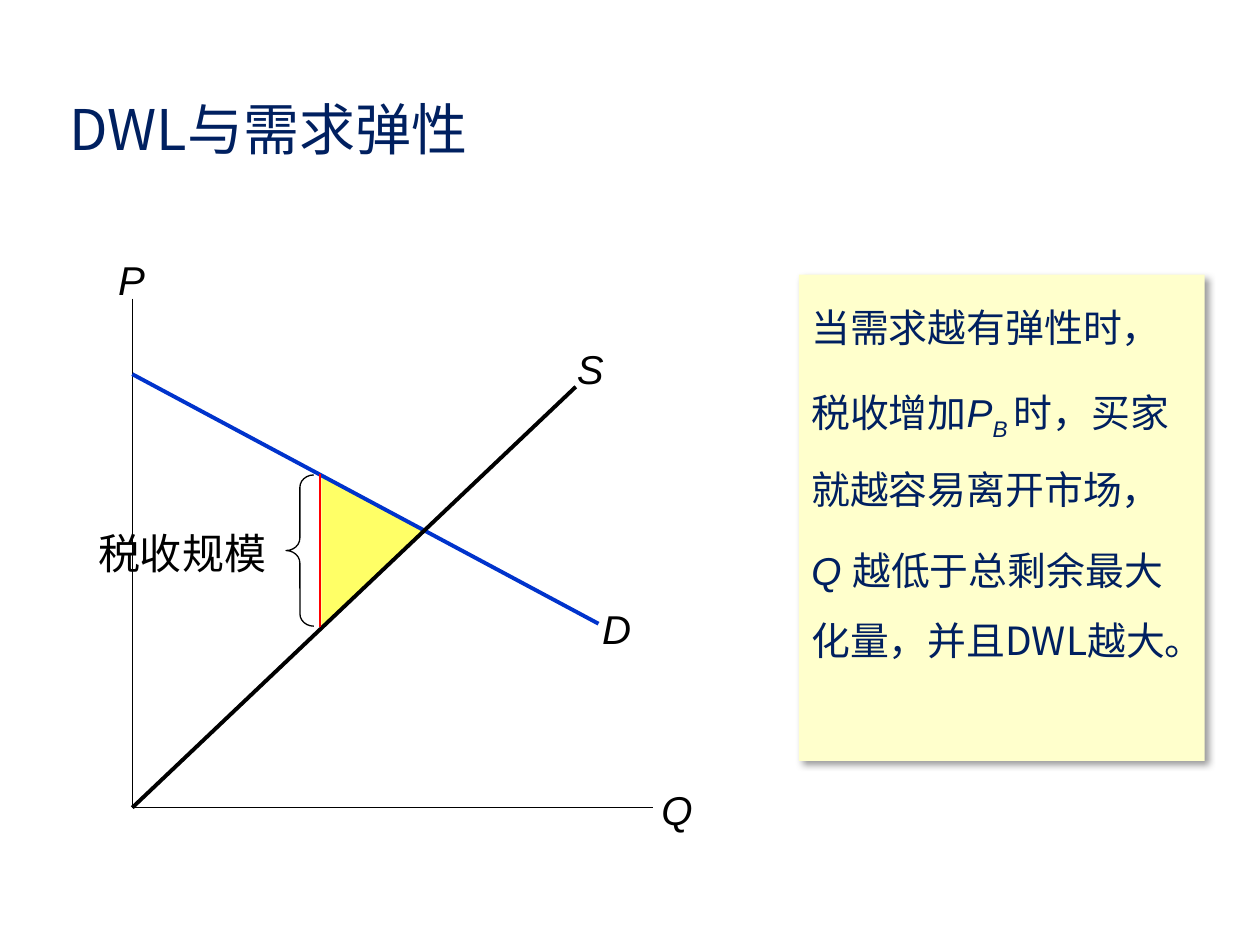
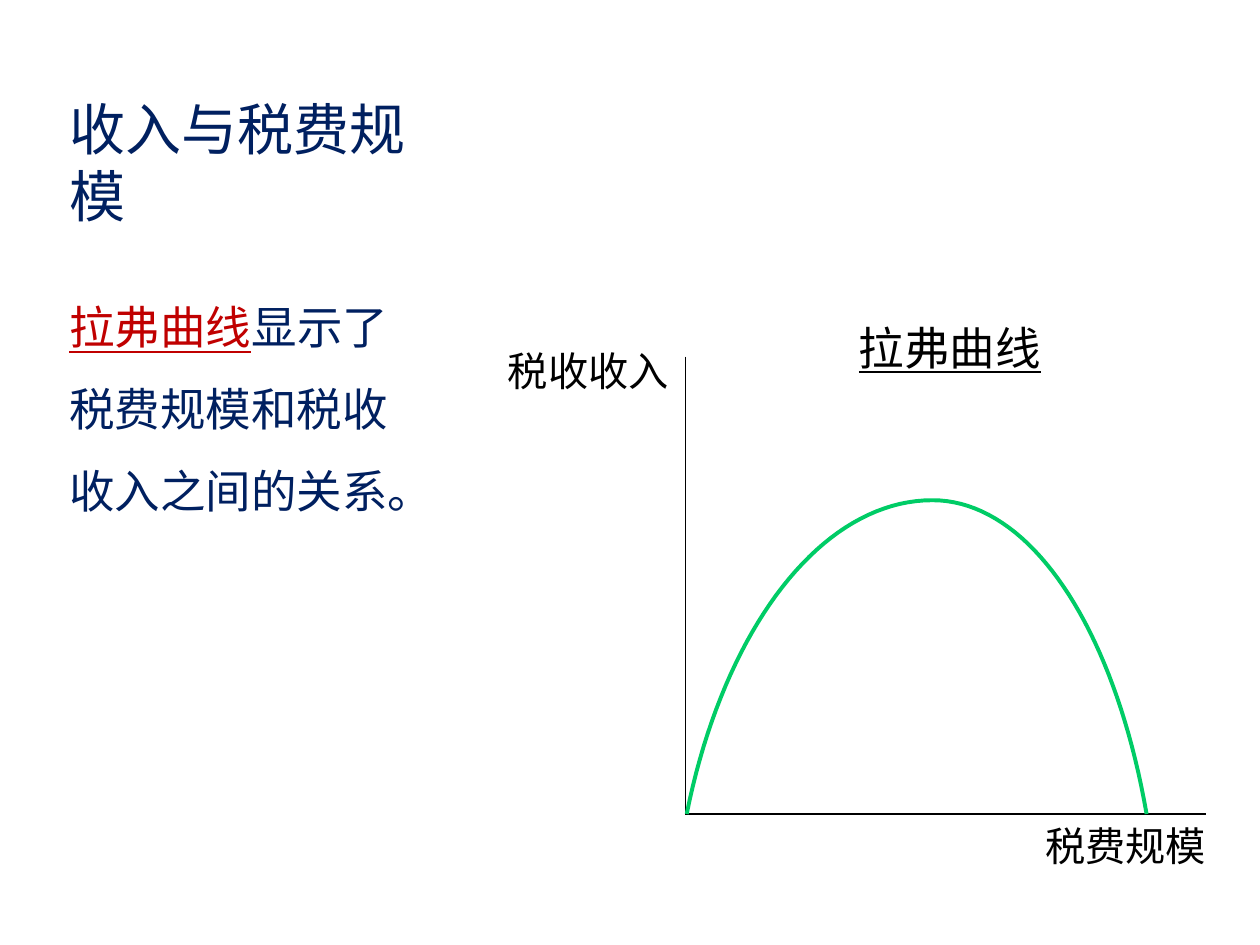
from lxml import etree
from pptx import Presentation
from pptx.dml.color import RGBColor
from pptx.enum import shapes, text
from pptx.oxml import ns
from pptx.util import Inches, Pt

COLORS = {
    "navy": "002060", "black": "000000", "red": "FF0000", "term": "C00000",
    "blue": "0033CC", "green": "00CC66", "panel": "FFFFCC", "loss": "FFFF66",
}
HAN, LATIN = "Noto Sans CJK SC", "Arial"
ALIGN = text.PP_ALIGN
TITLE = {"size": Pt(32), "name": HAN, "color": "navy"}
LABEL = {"size": Pt(23), "name": LATIN, "color": "black"}
SYMBOL = {**LABEL, "italic": True}


def rgb(name):
    """Return the named colour."""
    return RGBColor.from_string(COLORS[name])


def add_xml(parent, tag, **attributes):
    """Append a DrawingML element with the given attributes."""
    return etree.SubElement(parent, ns.qn(tag), attributes)


def add_span(para, words, style):
    """Add a run and format it from a dict of values."""
    span = para.add_run()
    span.text = words
    for key, value in style.items():
        if key == "color":
            span.font.color.rgb = rgb(value)
        elif key == "baseline":
            span.font._element.set("baseline", value)
        else:
            setattr(span.font, key, value)
    add_xml(span.font._element, "a:ea", typeface=HAN)


def write(frame, paragraphs, align=ALIGN.LEFT, **spacing):
    """Fill a text frame with paragraphs of (words, style) spans."""
    settings = {"word_wrap": True, "auto_size": text.MSO_AUTO_SIZE.NONE,
                "vertical_anchor": text.MSO_ANCHOR.TOP}
    for key, value in settings.items():
        setattr(frame, key, value)
    for index, spans in enumerate(paragraphs):
        para = frame.add_paragraph() if index else frame.paragraphs[0]
        para.alignment = align
        for key, value in spacing.items():
            setattr(para, key, value)
        for words, style in spans:
            add_span(para, words, style)


def place(item, left, top, width, height):
    """Move and size a placeholder in inches."""
    for key, value in zip(("left", "top", "width", "height"), (left, top, width, height)):
        setattr(item, key, Inches(value))


def add_page(deck, layout, title, width):
    """Add a slide with the shared title style."""
    page = deck.slides.add_slide(deck.slide_layouts[layout])
    place(page.shapes.title, 0.45, 0.7, width, 0.64)
    write(page.shapes.title.text_frame, [[(title, TITLE)]])
    return page


def add_label(page, words, left, top, width, height=0.48, style=SYMBOL, align=ALIGN.CENTER):
    """Add a one-line label."""
    box = page.shapes.add_textbox(*map(Inches, (left, top, width, height)))
    write(box.text_frame, [[(words, style)]], align)


def add_line(page, start, end, color="black", weight=0.75):
    """Draw a straight line between two points."""
    line = page.shapes.add_connector(
        shapes.MSO_CONNECTOR.STRAIGHT, *map(Inches, (*start, *end)))
    line.line.color.rgb = rgb(color)
    line.line.width = Pt(weight)
    add_xml(line._element.spPr, "a:effectLst")


def add_area(page, kind, left, top, width, height, fill):
    """Add a filled preset shape without an outline or shadow."""
    area = page.shapes.add_shape(kind, *map(Inches, (left, top, width, height)))
    area.shadow.inherit = False
    area.fill.solid()
    area.fill.fore_color.rgb = rgb(fill)
    area.line.fill.background()
    return area


def add_axes(page, left, bottom, width, height):
    """Draw a price or revenue axis and a quantity axis."""
    add_line(page, (left, bottom - height), (left, bottom))
    add_line(page, (left, bottom), (left + width, bottom))


def add_market(page, left, bottom):
    """Draw supply, demand, the tax wedge and the deadweight loss."""
    triangle = shapes.MSO_SHAPE.RIGHT_TRIANGLE
    add_area(page, triangle, left + 1.5, bottom - 2.64, 0.82, 0.43, "loss")
    lower = add_area(page, triangle, left + 1.5, bottom - 2.21, 0.83, 0.78, "loss")
    lower._element.spPr.xfrm.set("flipV", "1")
    add_axes(page, left, bottom, 4.13, 4.04)
    add_line(page, (left, bottom - 3.44), (left + 3.7, bottom - 1.46), "blue", 2.25)
    add_line(page, (left, bottom), (left + 3.52, bottom - 3.34), "black", 2.25)
    add_line(page, (left + 1.49, bottom - 2.65), (left + 1.49, bottom - 1.43), "red", 1.5)
    for symbol, across, up in (("P", -0.21, 4.43), ("Q", 4.1, 0.23),
                               ("D", 3.63, 1.66), ("S", 3.43, 3.73)):
        add_label(page, symbol, left + across, bottom - up, 0.4)
    brace = add_area(page, shapes.MSO_SHAPE.LEFT_BRACE,
                     left + 1.22, bottom - 2.64, 0.22, 1.2, "panel")
    brace.fill.background()
    brace.line.color.rgb = rgb("black")
    brace.line.width = Pt(0.75)
    brace.adjustments[0] = 0.45
    add_label(page, "税收规模", left - 0.38, bottom - 2.27, 1.54, 0.51,
              {**LABEL, "size": Pt(24)}, ALIGN.RIGHT)


def add_panel(page, left, top, width, height):
    """Add the shadowed panel that explains elasticity."""
    panel = add_area(page, shapes.MSO_SHAPE.RECTANGLE, left, top, width, height, "panel")
    effects = panel._element.spPr.find(ns.qn("a:effectLst"))
    shadow = add_xml(effects, "a:outerShdw", blurRad=str(Pt(4)), dist=str(Pt(3)),
                     dir="2700000", algn="tl", rotWithShape="0")
    add_xml(add_xml(shadow, "a:srgbClr", val=COLORS["black"]), "a:alpha", val="40000")
    plain = {"size": Pt(22.2), "name": HAN, "color": "navy"}
    symbol = {**plain, "name": LATIN, "italic": True}
    write(panel.text_frame, [
        [("当需求越有弹性时，", plain)],
        [("税收增加", plain), ("P", symbol), ("B ", {**symbol, "baseline": "-25000"}),
         ("时，买家就越容易离开市场，", plain)],
        [("Q ", symbol), ("越低于总剩余最大化量，并且DWL越大。", plain)],
    ], line_spacing=1.5, space_before=Pt(6.7))


def add_definition(page, left, top, width, height):
    """Fill the body placeholder with the definition of the curve."""
    body = page.placeholders[1]
    place(body, left, top, width, height)
    style = {"size": Pt(26), "name": HAN, "color": "navy"}
    write(body.text_frame, [[("拉弗曲线", {**style, "color": "term", "underline": True}),
                             ("显示了税费规模和税收收入之间的关系。", style)]],
          line_spacing=1.5, space_before=Pt(0))
    settings = body.text_frame.paragraphs[0]._p.get_or_add_pPr()
    for key in ("marL", "indent"):
        settings.set(key, "0")
    add_xml(settings, "a:buNone")


def bezier(points, steps=40):
    """Return points along a cubic curve."""
    def blend(values, t):
        return sum(weight * value for weight, value in zip(
            ((1 - t) ** 3, 3 * t * (1 - t) ** 2, 3 * t * t * (1 - t), t ** 3), values))
    return [tuple(Inches(blend(axis, step / steps)) for axis in zip(*points))
            for step in range(steps + 1)]


def add_laffer(page, left, bottom):
    """Draw the Laffer curve with its axes and labels."""
    add_axes(page, left, bottom, 4.13, 3.63)
    add_label(page, "税费规模", left + 2.63, bottom + 0.01, 1.73, 0.49, LABEL)
    add_label(page, "税收收入", left - 1.51, bottom - 3.76, 1.48, 0.49, LABEL, ALIGN.RIGHT)
    rise = ((0.01, 0), (0.31, 1.49), (1.09, 2.49), (1.96, 2.49))
    fall = ((1.96, 2.49), (2.73, 2.49), (3.4, 1.49), (3.66, 0))
    trail = [point for half in (rise, fall)
             for point in bezier([(left + x, bottom - y) for x, y in half])]
    builder = page.shapes.build_freeform(*trail[0])
    builder.add_line_segments(trail[1:], close=False)
    curve = builder.convert_to_shape()
    curve.shadow.inherit = False
    curve.fill.background()
    curve.line.color.rgb = rgb("green")
    curve.line.width = Pt(2.25)
    add_label(page, "拉弗曲线", left + 0.63, bottom - 3.97, 2.94, 0.53,
              {**LABEL, "size": Pt(26), "underline": True})


def main():
    """Build both slides and save the deck."""
    deck = Presentation()
    deck.slide_width, deck.slide_height = Inches(10), Inches(7.5)
    elasticity = add_page(deck, 5, "DWL与需求弹性", 3.6)
    add_panel(elasticity, 6.34, 2.18, 3.22, 3.86)
    add_market(elasticity, 1.05, 6.41)
    revenue = add_page(deck, 1, "收入与税费规模", 3.2)
    add_definition(revenue, 0.45, 2.11, 3.02, 2.07)
    add_laffer(revenue, 5.44, 6.46)
    deck.save("out.pptx")


if __name__ == "__main__":
    main()
